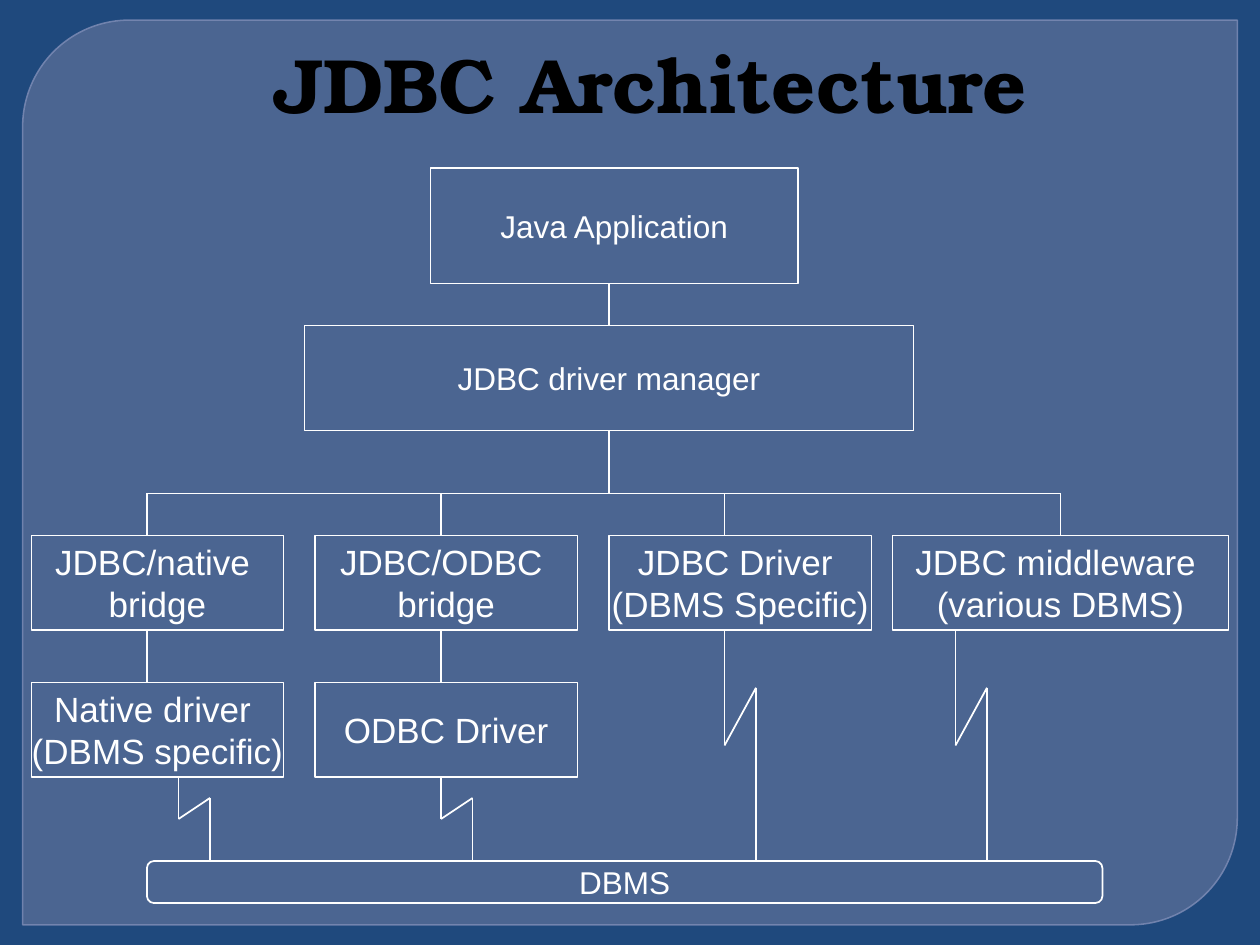
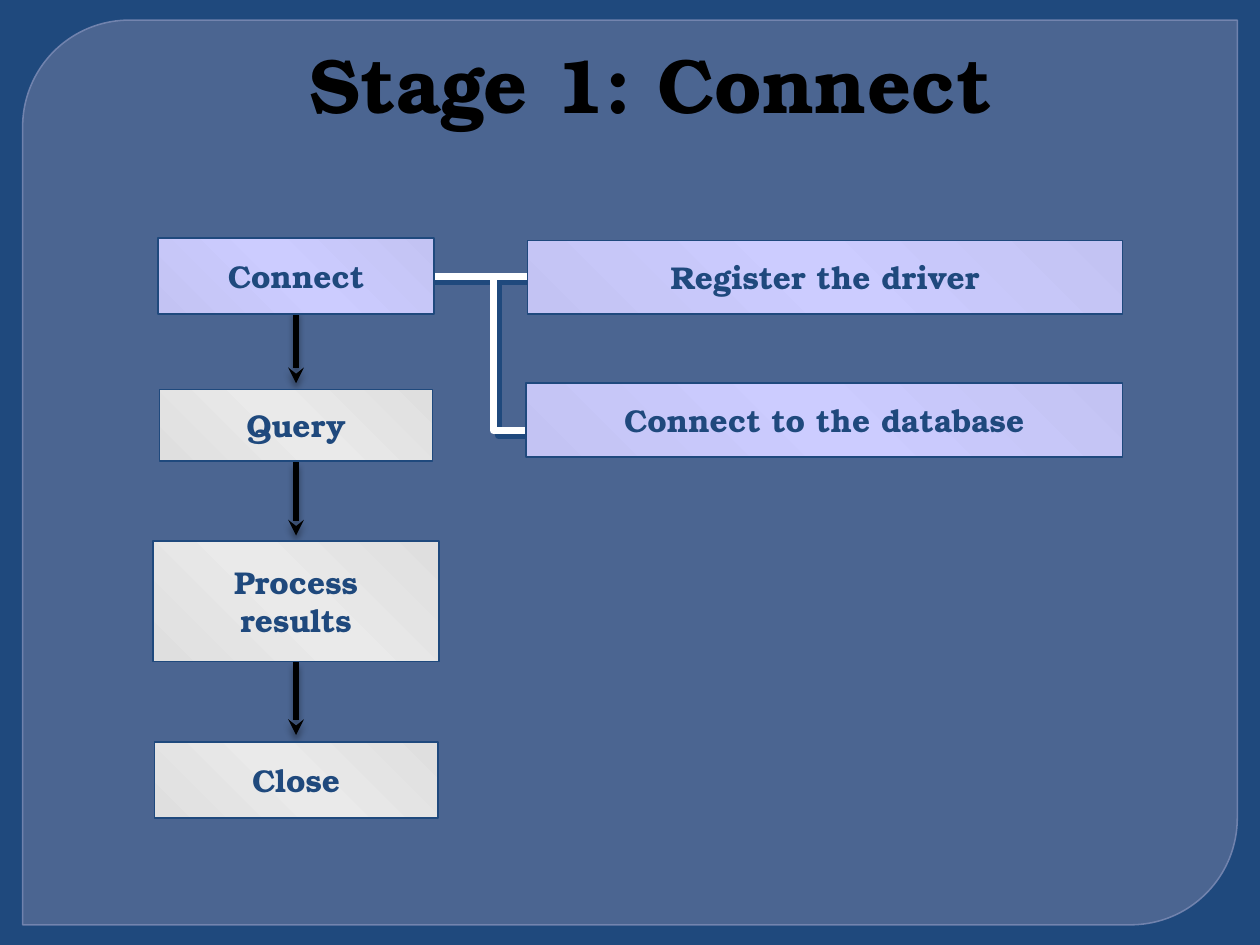
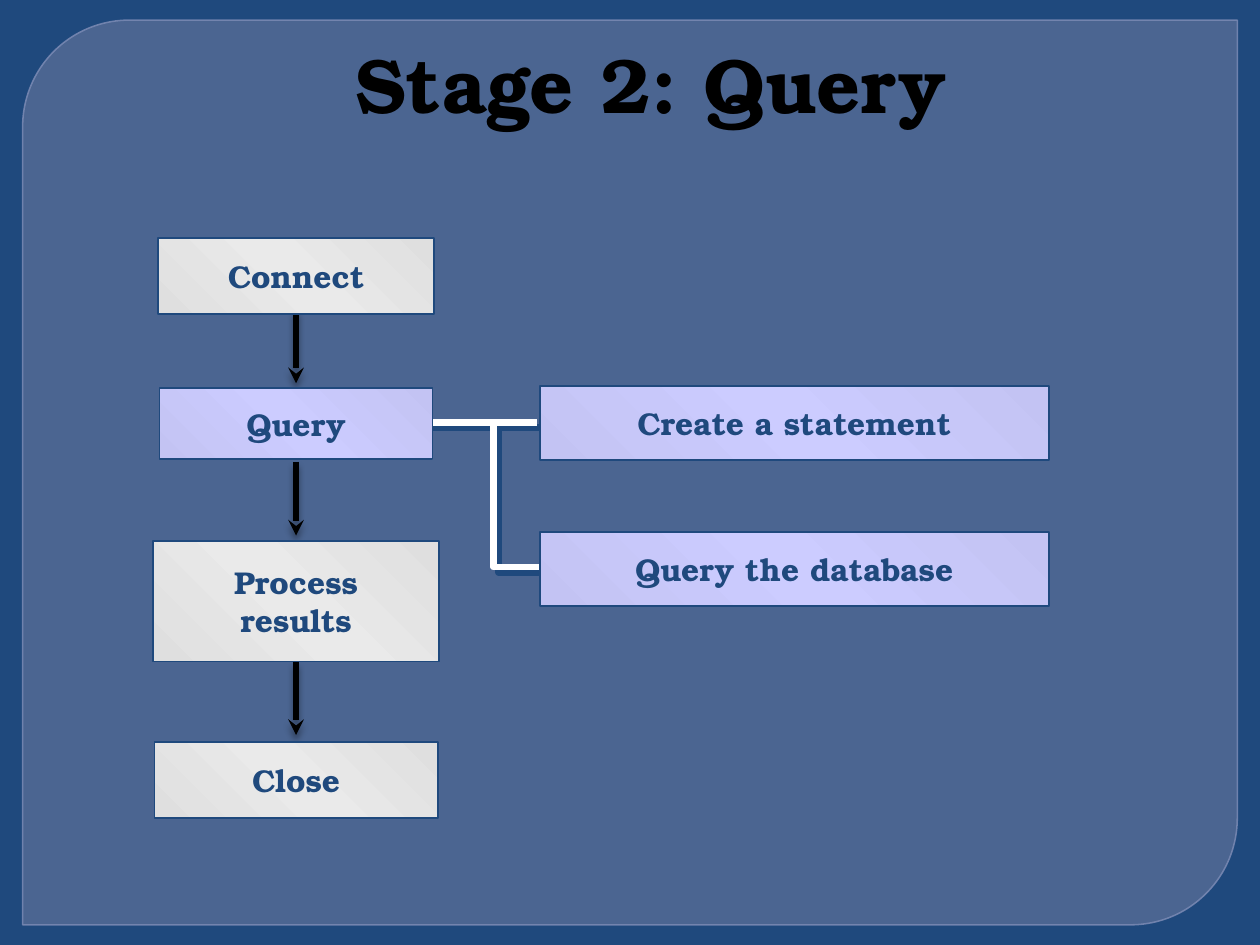
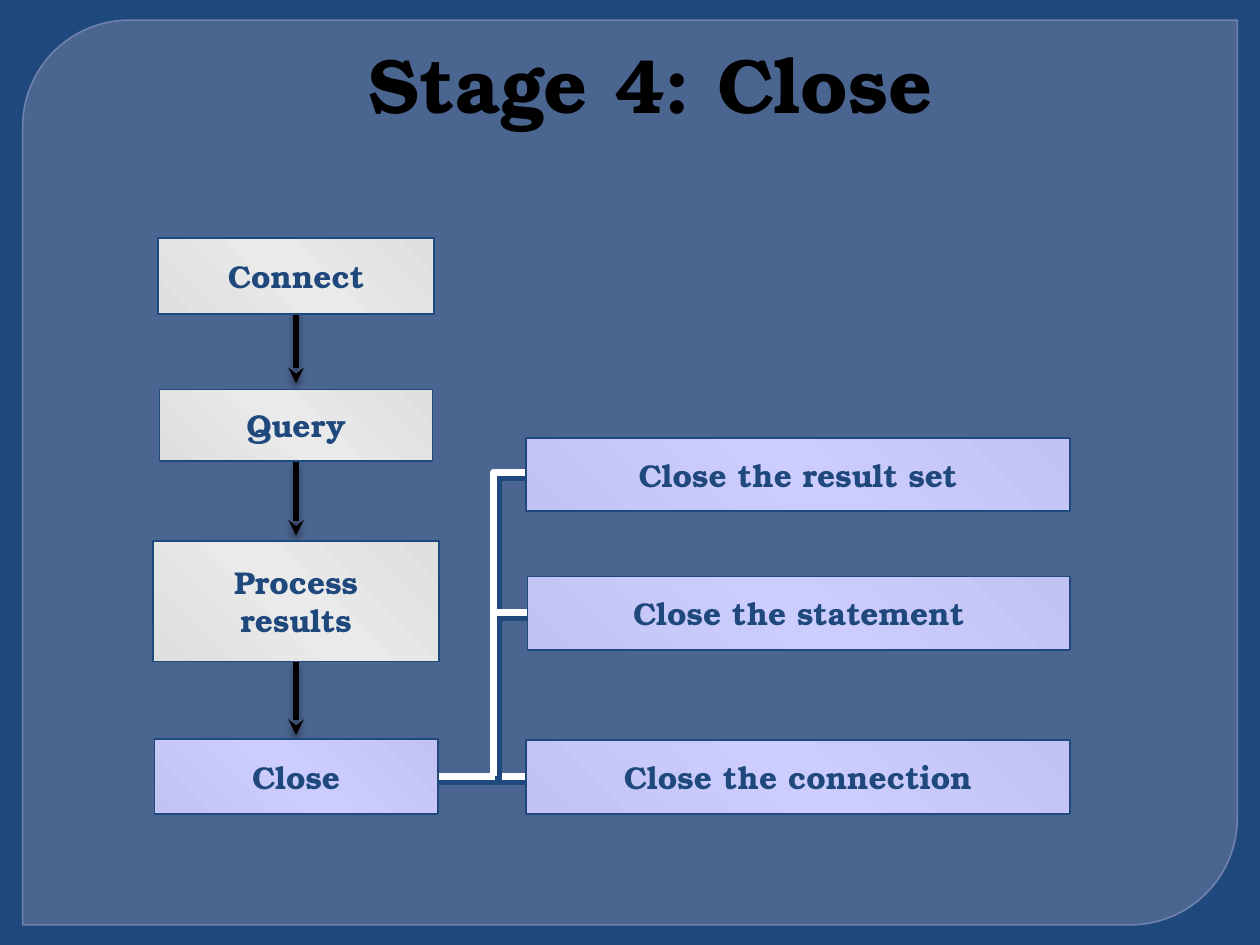
from copy import deepcopy

from lxml import etree
from pptx import Presentation
from pptx import util as u
from pptx.dml.color import RGBColor
from pptx.enum import shapes, text
from pptx.oxml import ns

NAVY = RGBColor(0x1F, 0x49, 0x7D)
PANEL = RGBColor(0x63, 0x75, 0x9D)
PANEL_EDGE = RGBColor(0x79, 0x89, 0xB3)
WHITE = RGBColor(0xFF, 0xFF, 0xFF)
BLACK = RGBColor(0, 0, 0)
GREY = (RGBColor(0xDF, 0xDF, 0xDF), RGBColor(0xEA, 0xEA, 0xEA))
LILAC = (RGBColor(0xC3, 0xC3, 0xF3), RGBColor(0xCC, 0xCC, 0xFF))

SANS = "Arial"
SERIF = "TeX Gyre Bonum"
COLS, ROWS = 120, 90

ARROW_SHADOW = (BLACK, 43, 4, 3, 90)
RAIL_SHADOW = (NAVY, 100, 0, 4.2, 45)

AXIS = 28.2
RAIL = 47
STEPS = [
    ("Connect", 22.7, 22.7, 26.3, 7.2),
    ("Query", 37.1, 36.95, 26, 6.8),
    ("Process\vresults", 51.5, 51.5, 27.2, 11.5),
    ("Close", 70.7, 70.35, 27, 7.2),
]
ARROW_TOPS = (29.5, 44, 63)


def add(parent, tag, **attrs):
    values = {k: str(v) for k, v in attrs.items()}
    return etree.SubElement(parent, ns.qn(tag), values)


def set_alpha(fill, percent):
    add(fill._xPr.find(".//" + ns.qn("a:srgbClr")), "a:alpha", val=percent * 1000)


def set_text(tf, content, *, size, font, color, bold=False, before=None):
    for i, line in enumerate(content.split("\n")):
        p = tf.add_paragraph() if i else tf.paragraphs[0]
        p.text = line
        p.alignment = text.PP_ALIGN.CENTER
        if before:
            spacing = add(p._p.get_or_add_pPr(), "a:spcBef")
            add(spacing, "a:spcPct", val=before * 1000)
        for r in p.runs:
            r.font.size = u.Pt(size)
            r.font.name = font
            r.font.bold = bold
            r.font.color.rgb = color


class Deck:
    def __init__(self):
        self.prs = Presentation()
        self.prs.slide_width, self.prs.slide_height = u.Inches(10), u.Inches(7.5)
        fill = self.prs.slide_master.background.fill
        fill.solid()
        fill.fore_color.rgb = NAVY
        self.s = None

    def x(self, col):
        return round(col * self.prs.slide_width / COLS)

    def y(self, row):
        return round(row * self.prs.slide_height / ROWS)

    def area(self, left, top, width, height):
        return self.x(left), self.y(top), self.x(width), self.y(height)

    def new_slide(self, title):
        first = self.s is None
        self.s = self.prs.slides.add_slide(self.prs.slide_layouts[6])
        if first:
            self.master_panel()
        tf = self.s.shapes.add_textbox(*self.area(4, 2.9, 116, 10.1)).text_frame
        tf.word_wrap = True
        tf.auto_size = text.MSO_AUTO_SIZE.SHAPE_TO_FIT_TEXT
        set_text(tf, title, size=44, font=SERIF, color=BLACK, bold=True)

    def master_panel(self):
        kind = shapes.MSO_SHAPE.ROUND_2_DIAG_RECTANGLE
        sp = self.s.shapes.add_shape(kind, *self.area(2.16, 1.92, 115.68, 86.16))
        sp.adjustments[0], sp.adjustments[1] = 0.118, 0
        sp.fill.solid()
        sp.fill.fore_color.rgb = PANEL
        set_alpha(sp.fill, 65)
        self.stroke(sp, PANEL_EDGE, 0.87)
        set_alpha(sp.line.fill, 88)
        sp._element.nvSpPr.cNvPr.set("id", "20")
        self.prs.slide_master.shapes._spTree.insert(2, sp._element)

    def stroke(self, sp, color, width, shadow=None):
        sp.line.color.rgb = color
        sp.line.width = u.Pt(width)
        effects = add(sp._element.spPr, "a:effectLst")
        if shadow:
            tint, alpha, blur, dist, angle = shadow
            outer = add(effects, "a:outerShdw", blurRad=u.Pt(blur), dist=u.Pt(dist),
                        dir=angle * 60000, algn="ctr", rotWithShape=0)
            add(add(outer, "a:srgbClr", val=tint), "a:alpha", val=alpha * 1000)

    def shape(self, content, area, line, kind=shapes.MSO_SHAPE.RECTANGLE, tones=None, **fmt):
        sp = self.s.shapes.add_shape(kind, *self.area(*area))
        if tones:
            self.gradient(sp, *tones)
        else:
            sp.fill.background()
        self.stroke(sp, line, 1)
        tf = sp.text_frame
        tf.word_wrap = False
        tf.vertical_anchor = text.MSO_ANCHOR.MIDDLE
        set_text(tf, content, color=line, **fmt)

    def gradient(self, sp, edge, middle):
        sp.fill.gradient()
        sp.fill.gradient_angle = 45
        stops = sp._element.spPr.find(".//" + ns.qn("a:gsLst"))
        stops.append(deepcopy(stops[0]))
        for stop, color, place in zip(sp.fill.gradient_stops, (edge, middle, edge), (0, 0.5, 1)):
            stop.color.rgb = color
            stop.position = place

    def outline_box(self, content, area, size=20, **kwargs):
        self.shape(content, area, WHITE, size=size, font=SANS, **kwargs)

    def step_box(self, content, area, tones):
        self.shape(content, area, NAVY, tones=tones, size=18, font=SERIF, bold=True, before=50)

    def line(self, start, end, color=WHITE, width=1, shadow=None, tail=None):
        (x1, y1), (x2, y2) = start, end
        sp = self.s.shapes.add_connector(
            shapes.MSO_CONNECTOR.STRAIGHT, self.x(x1), self.y(y1), self.x(x2), self.y(y2))
        self.stroke(sp, color, width, shadow)
        if tail:
            add(sp.line._get_or_add_ln(), "a:tailEnd", type=tail)

    def zigzag(self, col, top, low, high, bottom):
        points = [(col, top), (col, low), (col + 3, high), (col + 3, bottom)]
        for start, end in zip(points, points[1:]):
            self.line(start, end)

    def rail(self, start, end):
        self.line(start, end, width=4, shadow=RAIL_SHADOW)

    def elbow(self, *points):
        start, *rest = [(self.x(col), self.y(row)) for col, row in points]
        builder = self.s.shapes.build_freeform(*start)
        builder.add_line_segments(rest, close=False)
        sp = builder.convert_to_shape()
        sp.fill.background()
        self.stroke(sp, WHITE, 4, RAIL_SHADOW)

    def architecture(self):
        self.new_slide("JDBC Architecture")
        self.outline_box("Java Application", (41, 16, 35, 11), size=18)
        self.outline_box("JDBC driver manager", (29, 31, 58, 10), size=18)
        self.outline_box("DBMS", (14, 82, 91, 4), size=18,
                         kind=shapes.MSO_SHAPE.ROUNDED_RECTANGLE)
        for content, left, top, width in [
            ("JDBC/native \nbridge", 3, 51, 24),
            ("JDBC/ODBC \nbridge", 30, 51, 25),
            ("JDBC Driver \n(DBMS Specific)", 58, 51, 25),
            ("JDBC middleware \n(various DBMS)", 85, 51, 32),
            ("Native driver \n(DBMS specific)", 3, 65, 24),
            ("ODBC Driver", 30, 65, 25),
        ]:
            self.outline_box(content, (left, top, width, 9))
        self.line((14, 47), (101, 47))
        for top, bottom, cols in [(27, 31, [58]), (41, 47, [58]),
                                  (47, 51, [14, 42, 69, 101]), (60, 65, [14, 42])]:
            for col in cols:
                self.line((col, top), (col, bottom))
        for col in (17, 42):
            self.zigzag(col, 74, 78, 76, 82)
        for col in (69, 91):
            self.zigzag(col, 60, 71, 65.5, 82)

    def stage(self, title, active, link_row, elbow_row, tasks, branch_rows=()):
        self.new_slide(title)
        self.rail((39.6, link_row), (51.1, link_row))
        self.elbow((RAIL, link_row), (RAIL, elbow_row), (54, elbow_row))
        for row in branch_rows:
            self.rail((RAIL, row), (52, row))
        for top in ARROW_TOPS:
            self.line((AXIS, top), (AXIS, top + 7), BLACK, 3, ARROW_SHADOW, "stealth")
        for name, top, active_top, width, height in STEPS:
            on = name == active
            area = (AXIS - width / 2, active_top if on else top, width, height)
            self.step_box(name, area, LILAC if on else GREY)
        for name, left, top, width in tasks:
            self.step_box(name, (left, top, width, 7), LILAC)


def main():
    deck = Deck()
    deck.architecture()
    deck.stage("Stage 1: Connect", "Connect", 26.3, 41, [
        ("Register the driver", 50.25, 22.9, 56.65),
        ("Connect to the database", 50.1, 36.5, 56.8),
    ])
    deck.stage("Stage 2: Query", "Query", 40.2, 54, [
        ("Create a statement", 51.4, 36.8, 48.5),
        ("Query the database", 51.4, 50.7, 48.5),
    ])
    deck.stage("Stage 4: Close", "Close", 73.95, 45, [
        ("Close the result set", 50.1, 41.7, 51.8),
        ("Close the statement", 50.25, 54.9, 51.65),
        ("Close the connection", 50.1, 70.5, 51.8),
    ], branch_rows=[58.35])
    deck.prs.save("out.pptx")


if __name__ == "__main__":
    main()
